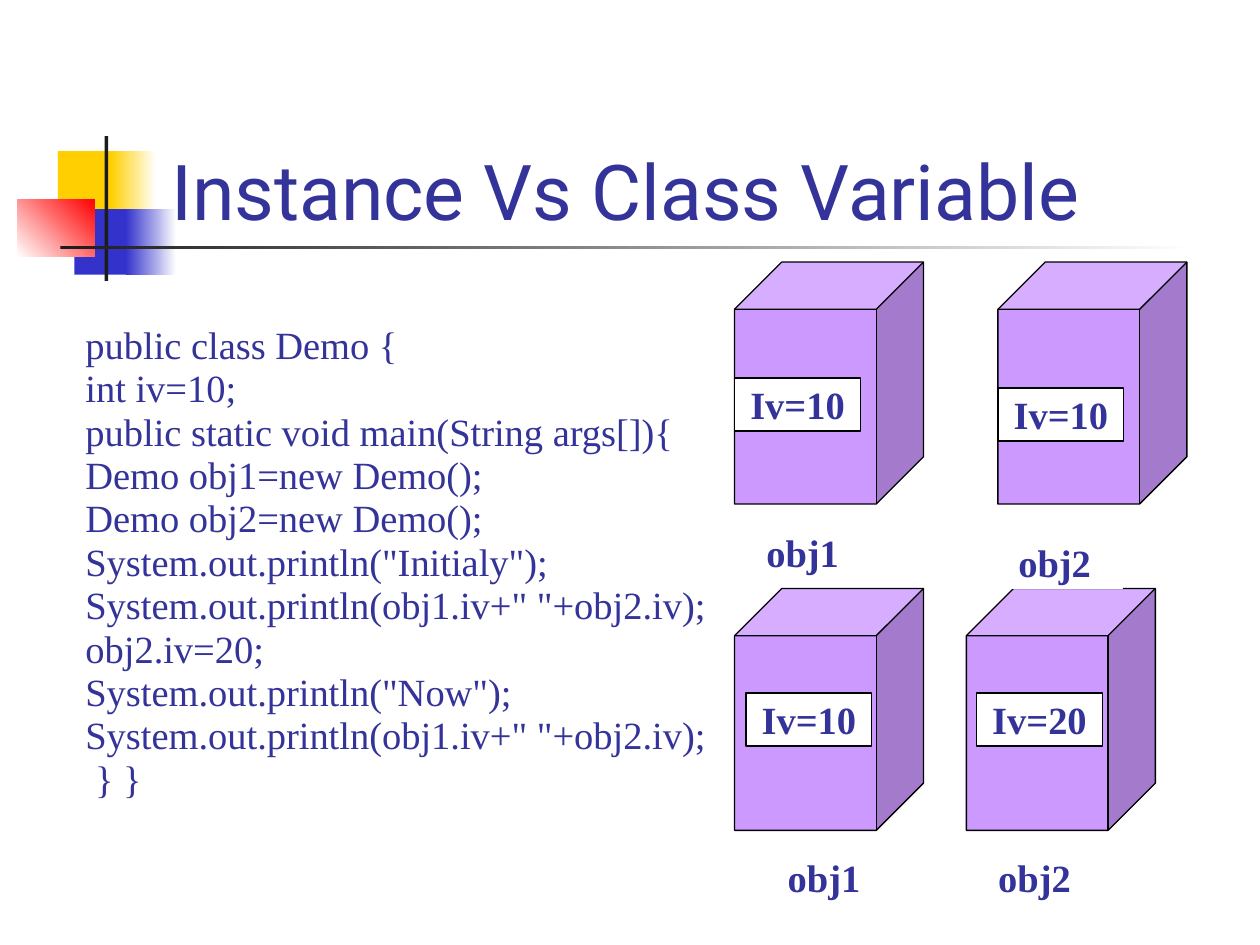
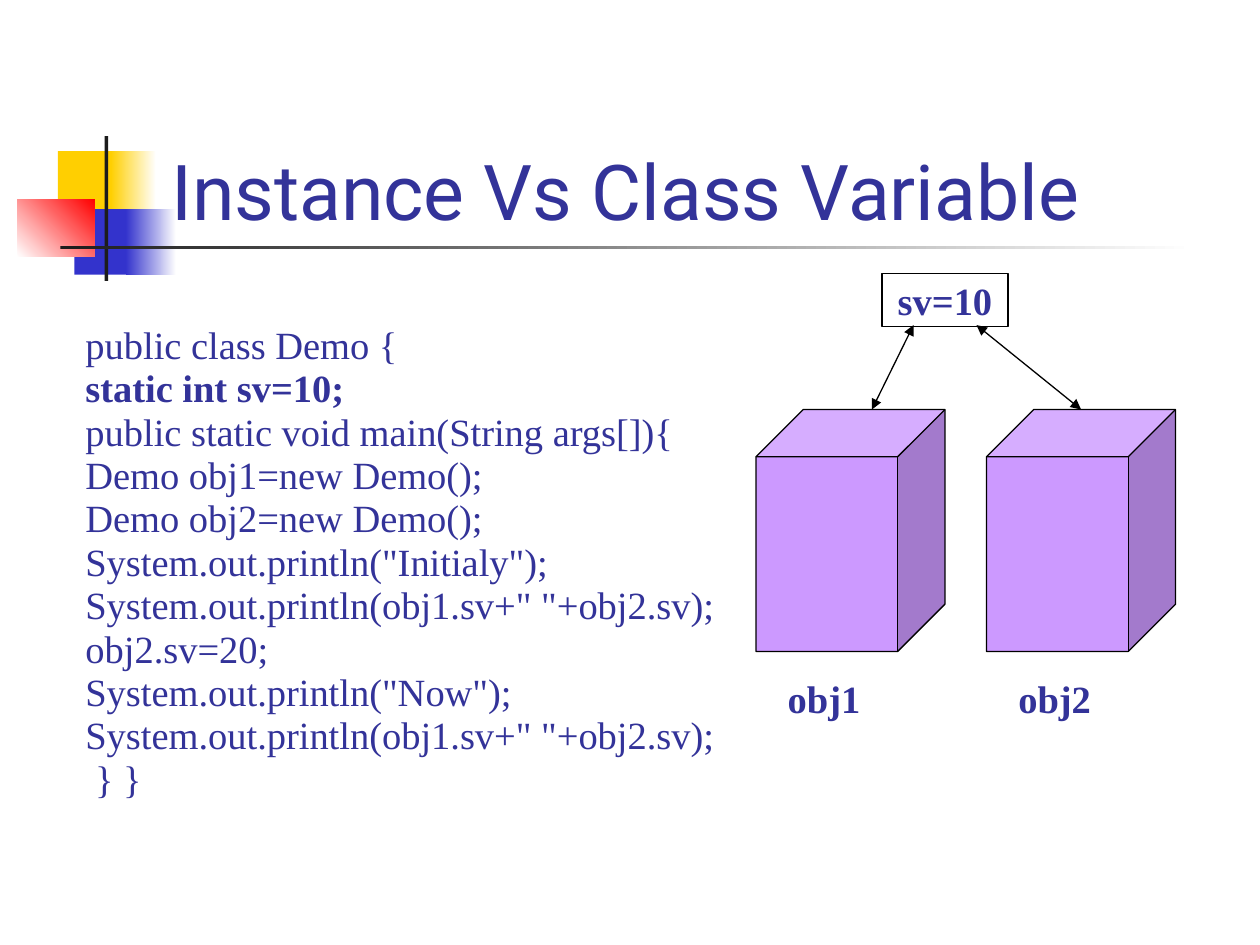
from lxml import etree
from pptx import Presentation
from pptx.dml.color import RGBColor
from pptx.enum.shapes import MSO_CONNECTOR, MSO_SHAPE
from pptx.enum.text import MSO_ANCHOR, PP_ALIGN
from pptx.oxml.ns import qn
from pptx.util import Inches, Pt

RECT, CUBE, STRAIGHT = MSO_SHAPE.RECTANGLE, MSO_SHAPE.CUBE, MSO_CONNECTOR.STRAIGHT
BOTTOM, MIDDLE, CENTER = MSO_ANCHOR.BOTTOM, MSO_ANCHOR.MIDDLE, PP_ALIGN.CENTER

WHITE = RGBColor(0xFF, 0xFF, 0xFF)
BLACK = RGBColor(0, 0, 0)
DARK = RGBColor(0x1C, 0x1C, 0x1C)
YELLOW = RGBColor(0xFF, 0xCF, 0x01)
BLUE = RGBColor(0x33, 0x33, 0xCC)
RED = RGBColor(0xFF, 0, 0)
NAVY = RGBColor(0x33, 0x33, 0x99)
LILAC = RGBColor(0xCC, 0x99, 0xFF)

TITLE_FONT, BODY_FONT = "Roboto", "Times New Roman"

# left, top, width, height, start colour, end colour, gradient angle
DECORATION = [
    (0.46, 1.2, 0.48, 0.52, YELLOW, YELLOW, 0),
    (0.88, 1.2, 0.36, 0.52, YELLOW, WHITE, 0),
    (0.59, 1.66, 0.46, 0.52, BLUE, BLUE, 0),
    (1, 1.66, 0.4, 0.52, BLUE, WHITE, 0),
    (0.14, 1.58, 0.61, 0.46, WHITE, RED, 45),
    (0.83, 1.08, 0.03, 1.15, DARK, DARK, 0),
    (0.48, 1.95, 9, 0.03, DARK, WHITE, 0),
]

CODE = """public class Demo {
{declaration}
public static void main(String args[]){
Demo obj1=new Demo();
Demo obj2=new Demo();
System.out.println("Initialy");
System.out.println(obj1.{var}+" "+obj2.{var});
obj2.{var}=20;
System.out.println("Now");
System.out.println(obj1.{var}+" "+obj2.{var});
 } }"""

# Per slide: variable, declaration, cubes, object names, values, arrows
SLIDES = [
    ("iv", "int iv=10;",
     [(5.83, 2.08), (7.92, 2.08), (5.83, 4.67), (7.67, 4.67)],
     [("obj1", 5.83, 4.17), ("obj2", 7.83, 4.25), ("obj1", 6, 6.75), ("obj2", 7.67, 6.75)],
     [("Iv=10", 5.83, 3), ("Iv=10", 7.92, 3.08), ("Iv=10", 5.92, 5.5), ("Iv=20", 7.75, 5.5)],
     []),
    ("sv", "static int sv=10;",
     [(6, 3.25), (7.83, 3.25)],
     [("obj1", 6, 5.33), ("obj2", 7.83, 5.33)],
     [("sv=10", 7, 2.17)],
     [(6.83, 3.25, 6.83, 3.25), (6.92, 3.25, 7.25, 2.58), (8.58, 3.25, 7.75, 2.58)]),
]


def add_box(s, kind, x, y, w, h, fill, line=None):
    sp = s.shapes.add_shape(kind, Inches(x), Inches(y), Inches(w), Inches(h))
    sp.shadow.inherit = False
    sp.fill.solid()
    sp.fill.fore_color.rgb = fill
    if line is None:
        sp.line.fill.background()
    else:
        sp.line.color.rgb = line
        sp.line.width = Pt(0.75)
    return sp


def style(p, font, size, bold=False):
    p.font.name = font
    p.font.size = Pt(size)
    p.font.bold = bold
    p.font.color.rgb = NAVY


prs = Presentation()
prs.slide_width, prs.slide_height = Inches(10), Inches(7.5)

for var, declaration, cubes, names, values, arrows in SLIDES:
    s = prs.slides.add_slide(prs.slide_layouts[6])

    for x, y, w, h, start, end, angle in DECORATION:
        sp = add_box(s, RECT, x, y, w, h, start)
        if start != end:
            sp.fill.gradient()
            sp.fill.gradient_angle = angle
            for stop, color in zip(sp.fill.gradient_stops, (start, end)):
                stop.color.rgb = color

    tf = s.shapes.add_textbox(Inches(1.26), Inches(0.67), Inches(8.52), Inches(1.25)).text_frame
    tf.word_wrap = True
    tf.vertical_anchor = BOTTOM
    tf.text = "Instance Vs Class Variable"
    style(tf.paragraphs[0], TITLE_FONT, 44)

    tf = s.shapes.add_textbox(Inches(0.58), Inches(2.59), Inches(5.33), Inches(4.12)).text_frame
    tf.word_wrap = True
    tf.text = CODE.replace("{declaration}", declaration).replace("{var}", var)
    for p in tf.paragraphs:
        style(p, BODY_FONT, 22, bold=p.text.startswith("static"))
        p.line_spacing = 0.73
        p.space_before = Pt(5.5)

    for x, y in cubes:
        add_box(s, CUBE, x, y, 1.5, 1.92, LILAC, BLACK)

    labels = [(*name, 1.08, WHITE) for name in names] + [(*value, 1, BLACK) for value in values]
    for text, x, y, w, line in labels:
        tf = add_box(s, RECT, x, y, w, 0.42, WHITE, line).text_frame
        tf.word_wrap = False
        tf.vertical_anchor = MIDDLE
        tf.text = text
        p = tf.paragraphs[0]
        p.alignment = CENTER
        style(p, BODY_FONT, 22, bold=True)

    for x1, y1, x2, y2 in arrows:
        c = s.shapes.add_connector(STRAIGHT, Inches(x1), Inches(y1), Inches(x2), Inches(y2))
        c.line.color.rgb = BLACK
        c.line.width = Pt(0.75)
        ln = c.line._get_or_add_ln()
        for tip in ("a:headEnd", "a:tailEnd"):
            etree.SubElement(ln, qn(tip), type="triangle")
        etree.SubElement(c._element.spPr, qn("a:effectLst"))

prs.save("out.pptx")
